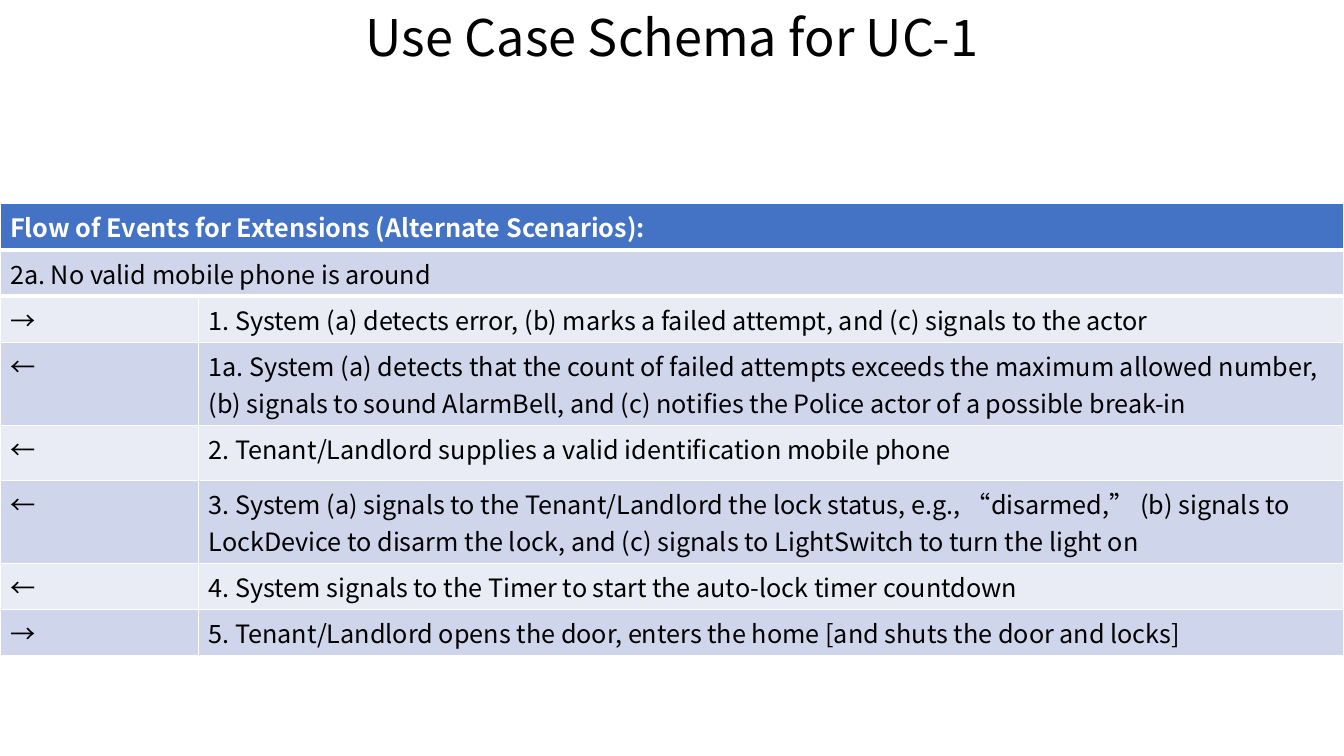
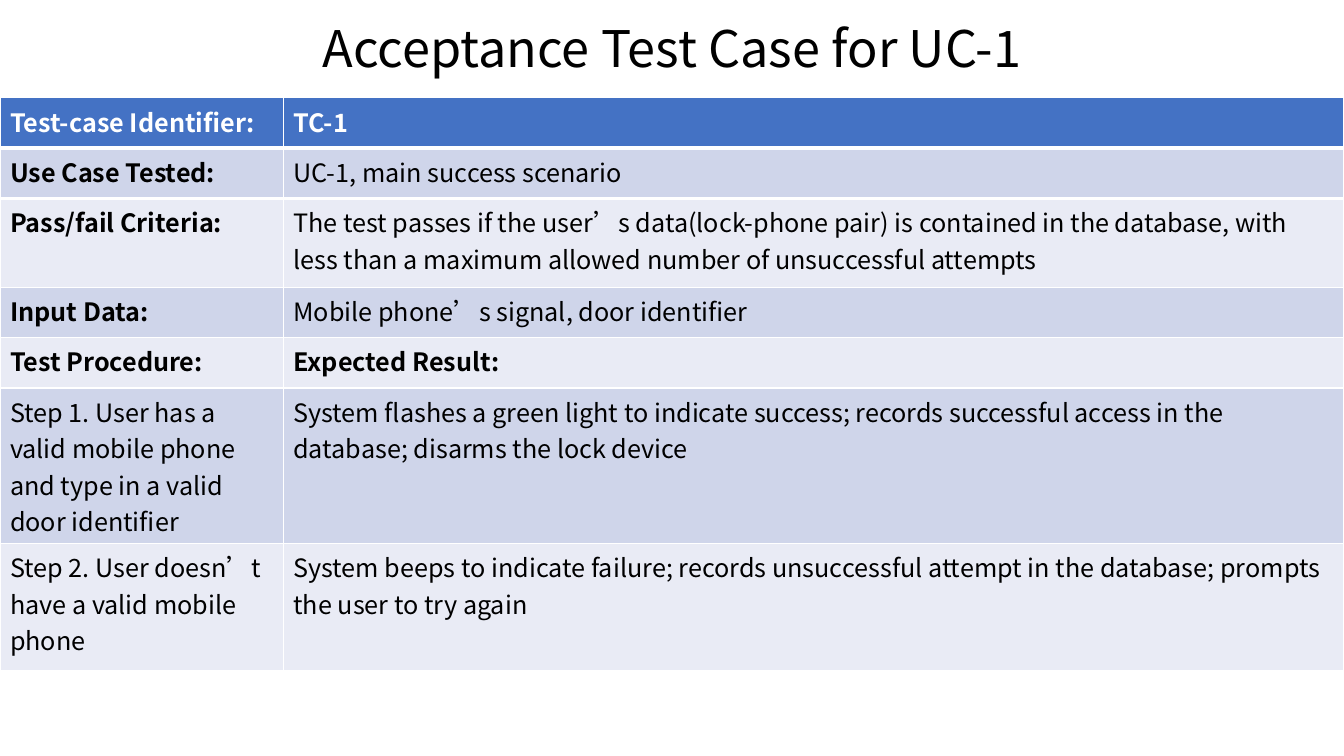
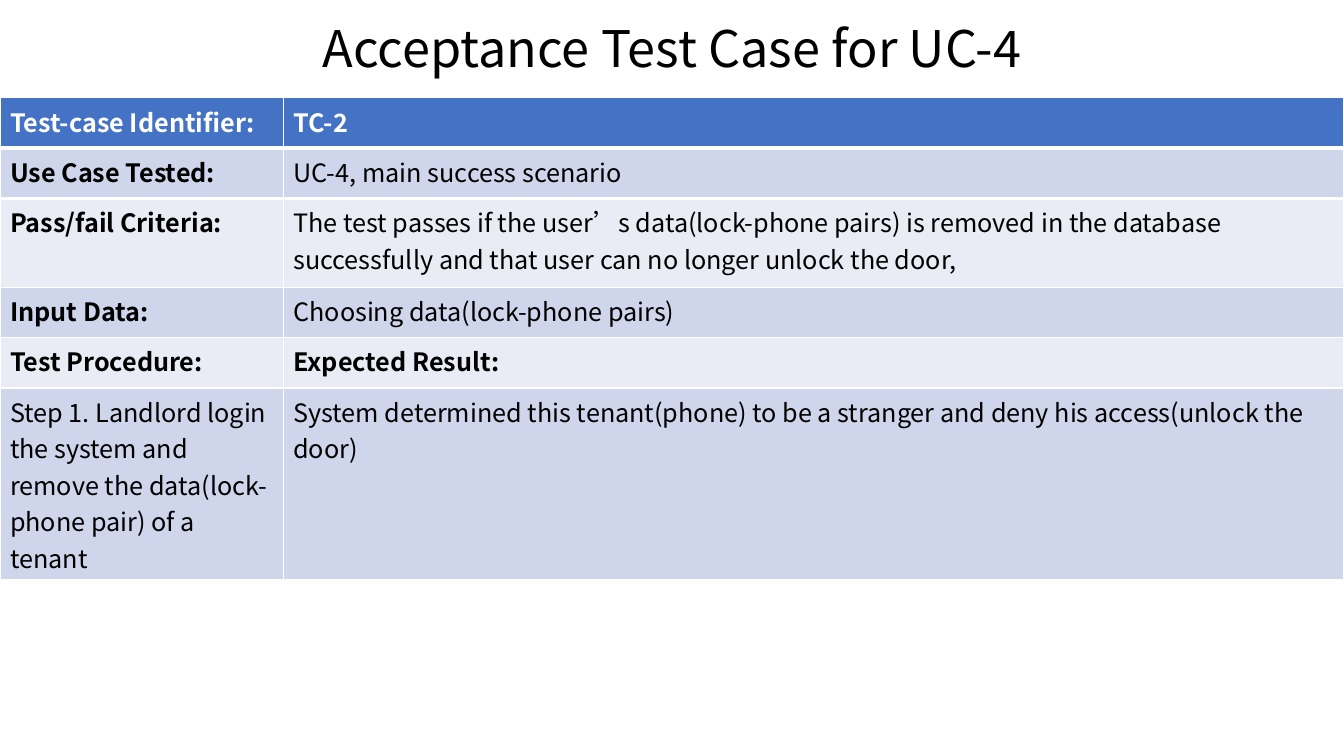
from lxml.etree import Element, SubElement
from pptx import Presentation
from pptx.dml.color import RGBColor
from pptx.enum.text import MSO_ANCHOR as Anchor, PP_ALIGN as Align
from pptx.oxml.ns import qn
from pptx.util import Inches, Pt

WIDTH, HEIGHT = 13.33, 7.5
FONT = "Noto Sans CJK SC"
COLORS = {"head": "4472C4", "odd": "CFD5EA", "even": "E9EBF5", "light": "FFFFFF", "dark": "000000"}
PADDING, LINE = 0.1, 0.36
FACT_HEIGHTS = [0.5, 0.5, 0.88, 0.5, 0.5]
TEST_LABELS = ["Test-case Identifier:", "Use Case Tested:", "Pass/fail Criteria:", "Input Data:"]
RIGHT, LEFT = "→", "←"

EXTENSION_LINES = [1, 1, 1, 2, 1.25, 2, 1, 1]
EXTENSIONS = [
    ("Flow of Events for Extensions (Alternate Scenarios):",),
    ("2a. No valid mobile phone is around",),
    (RIGHT, "1. System (a) detects error, (b) marks a failed attempt, and (c) signals to the actor"),
    (LEFT, "1a. System (a) detects that the count of failed attempts exceeds the maximum allowed number, "
           "(b) signals to sound AlarmBell, and (c) notifies the Police actor of a possible break-in"),
    (LEFT, "2. Tenant/Landlord supplies a valid identification mobile phone"),
    (LEFT, "3. System (a) signals to the Tenant/Landlord the lock status, e.g., “disarmed,” (b) signals to "
           "LockDevice to disarm the lock, and (c) signals to LightSwitch to turn the light on"),
    (LEFT, "4. System signals to the Timer to start the auto-lock timer countdown"),
    (RIGHT, "5. Tenant/Landlord opens the door, enters the home [and shuts the door and locks]"),
]

UNLOCK_FACTS = [
    "TC-1",
    "UC-1, main success scenario",
    "The test passes if the user’s data(lock-phone pair) is contained in the database, with less than "
    "a maximum allowed number of unsuccessful attempts",
    "Mobile phone’s signal, door identifier",
]
UNLOCK_STEPS = [
    ("Step 1. User has a valid mobile phone and type in a valid door identifier",
     "System flashes a green light to indicate success; records successful access in the database; "
     "disarms the lock device"),
    ("Step 2. User doesn’t have a valid mobile phone",
     "System beeps to indicate failure; records unsuccessful attempt in the database; prompts the user "
     "to try again"),
]

REMOVE_FACTS = [
    "TC-2",
    "UC-4, main success scenario",
    "The test passes if the user’s data(lock-phone pairs) is removed in the database successfully and "
    "that user can no longer unlock the door,",
    "Choosing data(lock-phone pairs)",
]
REMOVE_STEPS = [
    ("Step 1. Landlord login the system and remove the data(lock-phone pair) of a tenant",
     "System determined this tenant(phone) to be a stranger and deny his access(unlock the door)"),
]


def row_height(lines):
    """Give the height of a table row that holds this many text lines."""
    return PADDING + LINE * lines


def style_para(para, size, color, bold=False):
    """Set the deck font for Latin and East Asian text of a paragraph."""
    font = para.font
    font.name, font.size, font.bold = FONT, Pt(size), bold
    font.color.rgb = RGBColor.from_string(COLORS[color])
    defaults = para._p.pPr.find(qn("a:defRPr"))
    SubElement(defaults, qn("a:ea")).set("typeface", FONT)


def add_border(cell, side, points):
    """Draw a white border on one side of a cell."""
    border = Element(qn(f"a:{side}"), w=str(Pt(points)))
    fill = SubElement(border, qn("a:solidFill"))
    SubElement(fill, qn("a:srgbClr")).set("val", COLORS["light"])
    cell._tc.get_or_add_tcPr().insert(0, border)


def add_title(page, text, top, height):
    """Write the centred title in a band across the page."""
    margin = 0.92
    box = page.shapes.add_textbox(Inches(margin), Inches(top), Inches(WIDTH - 2 * margin), Inches(height))
    frame = box.text_frame
    frame.word_wrap = True
    frame.vertical_anchor = Anchor.MIDDLE
    para = frame.paragraphs[0]
    para.text, para.alignment, para.line_spacing = text, Align.CENTER, 0.9
    style_para(para, 36, "dark")


def add_grid(page, top, label_width, heights, rows, is_bold):
    """Fill a banded full-width table; a row with one text spans both columns."""
    frame = page.shapes.add_table(len(rows), 2, 0, Inches(top), Inches(WIDTH), Inches(sum(heights)))
    table = frame.table
    for column, width in zip(table.columns, (label_width, WIDTH - label_width)):
        column.width = Inches(width)
    for i, (texts, height) in enumerate(zip(rows, heights)):
        table.rows[i].height = Inches(height)
        band = "head" if i == 0 else "odd" if i % 2 else "even"
        if len(texts) == 1:
            table.cell(i, 0).merge(table.cell(i, 1))
        for j, text in enumerate(texts):
            cell = table.cell(i, j)
            cell.fill.solid()
            cell.fill.fore_color.rgb = RGBColor.from_string(COLORS[band])
            para = cell.text_frame.paragraphs[0]
            para.text = text
            style_para(para, 18, "dark" if i else "light", i == 0 or is_bold(i, j))
    for j in range(2):
        add_border(table.cell(0, j), "lnB", 3)
        add_border(table.cell(1, j), "lnT", 3)


def add_schema_page(deck):
    """Add the use case schema with its alternate flow of events."""
    page = deck.slides.add_slide(deck.slide_layouts[6])
    add_title(page, "Use Case Schema for UC-1", 0.14, 0.52)
    heights = [row_height(lines) for lines in EXTENSION_LINES]
    add_grid(page, 2.02, 1.97, heights, EXTENSIONS, lambda i, j: False)


def add_test_page(deck, title, facts, steps, step_lines):
    """Add an acceptance test case: facts, then steps with expected results."""
    page = deck.slides.add_slide(deck.slide_layouts[6])
    add_title(page, title, 0.15, 0.72)
    rows = [*zip(TEST_LABELS, facts), ("Test Procedure: ", "Expected Result:"), *steps]
    heights = FACT_HEIGHTS + [max(1.26, row_height(lines)) for lines in step_lines]
    split = len(facts)
    add_grid(page, 0.97, 2.81, heights, rows, lambda i, j: i == split or (i < split and j == 0))


deck = Presentation()
deck.slide_width, deck.slide_height = Inches(WIDTH), Inches(HEIGHT)
add_schema_page(deck)
add_test_page(deck, "Acceptance Test Case for UC-1", UNLOCK_FACTS, UNLOCK_STEPS, [4, 3])
add_test_page(deck, "Acceptance Test Case for UC-4", REMOVE_FACTS, REMOVE_STEPS, [5])
deck.save("out.pptx")
